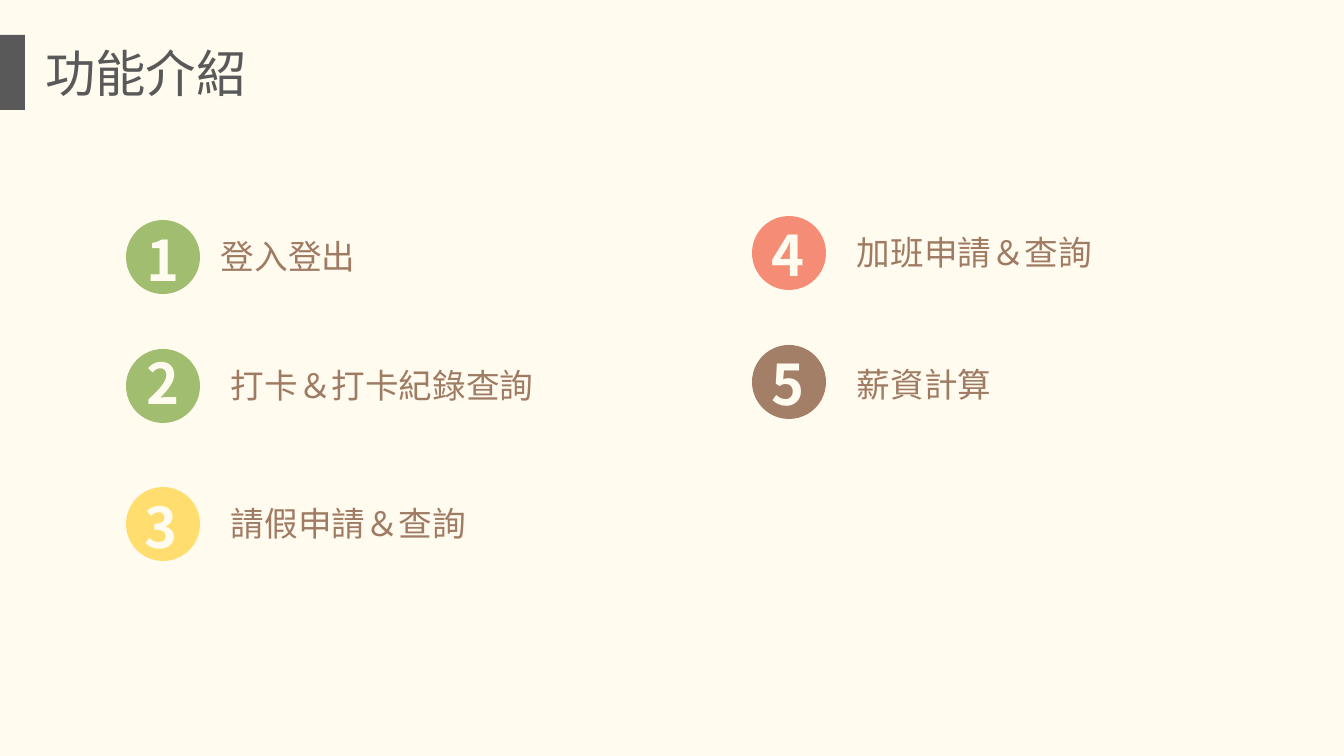
from lxml import etree
from pptx import Presentation
from pptx.dml.color import RGBColor
from pptx.enum.shapes import MSO_SHAPE
from pptx.enum.text import MSO_ANCHOR, PP_ALIGN
from pptx.oxml.ns import qn

RECTANGLE, OVAL = MSO_SHAPE.RECTANGLE, MSO_SHAPE.OVAL
TOP, LEFT = MSO_ANCHOR.TOP, PP_ALIGN.LEFT

CREAM = RGBColor(0xFF, 0xFB, 0xEF)
GRAY = RGBColor(0x59, 0x59, 0x59)
TAN = RGBColor(0xA0, 0x7B, 0x63)
GREEN = RGBColor(0xA1, 0xBD, 0x70)
YELLOW = RGBColor(0xFF, 0xDE, 0x6F)
CORAL = RGBColor(0xF5, 0x8D, 0x76)
BROWN = RGBColor(0xA3, 0x7F, 0x67)
FONT = "Noto Sans CJK SC"

TITLE = "功能介紹"
# label, badge colour, badge left and top, digit offset, label offset, label width
FEATURES = [
    ("登入登出", GREEN, (126, 220), (11, 1), (85, 11), 311),
    ("打卡＆打卡紀錄查詢", GREEN, (126, 349), (11, -5), (95, 11), 326),
    ("請假申請＆查詢", YELLOW, (126, 487), (9, 1), (95, 11), 258),
    ("加班申請＆查詢", CORAL, (752, 216), (10, 0), (95, 11), 258),
    ("薪資計算", BROWN, (752, 345), (10, 0), (95, 14), 156),
]
BADGE = 74
DIGIT_SIZE = (55, 78)
LABEL_HEIGHT = 50
PX = 9525 * 96 / 100.8
POINT = 12700


def px(*lengths):
    return [round(length * PX) for length in lengths]


def write(box, text, size, color, bold=False):
    frame = box.text_frame
    frame.word_wrap = False
    frame.vertical_anchor = TOP
    para = frame.paragraphs[0]
    para.text = text
    para.alignment = LEFT
    font = para.font
    font.size = size * POINT
    font.bold = bold
    font.name = FONT
    font.color.rgb = color
    properties = para._p.pPr.find(qn("a:defRPr"))
    etree.SubElement(properties, qn("a:ea")).set("typeface", FONT)


def add_filled(shapes, kind, color, *bounds):
    shape = shapes.add_shape(kind, *px(*bounds))
    shape.shadow.inherit = False
    shape.fill.solid()
    shape.fill.fore_color.rgb = color
    shape.line.fill.background()


deck = Presentation()
deck.slide_width, deck.slide_height = px(1344, 756)
page = deck.slides.add_slide(deck.slide_layouts[5])
page.background.fill.solid()
page.background.fill.fore_color.rgb = CREAM

add_filled(page.shapes, RECTANGLE, GRAY, 0, 35, 25, 75)
title = page.shapes.title
title.left, title.top, title.width, title.height = px(35, 37, 224, 132)
write(title, TITLE, 36, GRAY)

for number, (label, color, (left, top), digit_offset, label_offset, width) in enumerate(FEATURES, 1):
    badge = page.shapes.add_group_shape()
    add_filled(badge.shapes, OVAL, color, left, top, BADGE, BADGE)
    digit = badge.shapes.add_textbox(
        *px(left + digit_offset[0], top + digit_offset[1], *DIGIT_SIZE))
    write(digit, str(number), 40, CREAM, bold=True)
    label_box = page.shapes.add_textbox(
        *px(left + label_offset[0], top + label_offset[1], width, LABEL_HEIGHT))
    write(label_box, label, 24, TAN)

deck.save("out.pptx")
